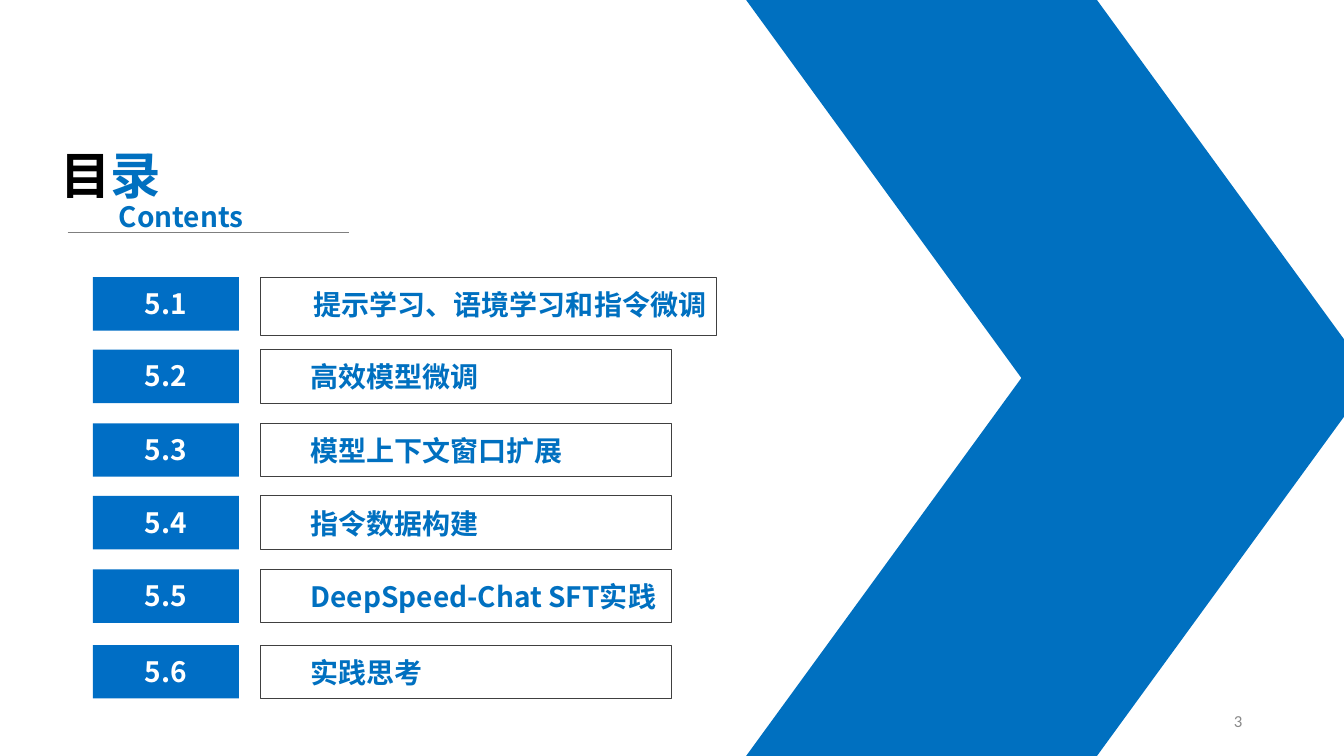
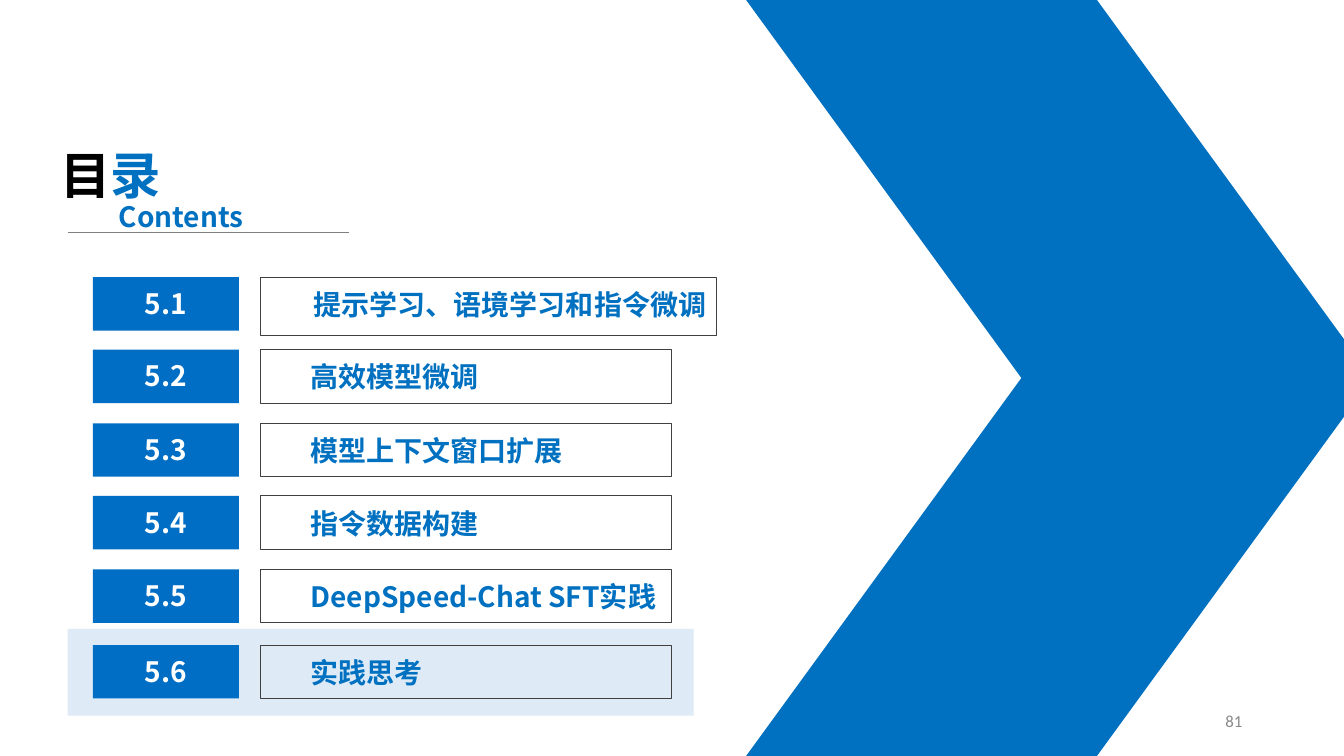
from lxml.etree import SubElement
from pptx import Presentation
from pptx.dml.color import RGBColor
from pptx.enum.shapes import MSO_CONNECTOR, MSO_SHAPE
from pptx.enum.text import MSO_ANCHOR, MSO_AUTO_SIZE, PP_ALIGN
from pptx.oxml.ns import qn
from pptx.util import Inches, Pt

# Content: number, heading, top of the row
SECTIONS = [
    ("5.1", "提示学习、语境学习和指令微调", 2.75),
    ("5.2", "高效模型微调", 3.47),
    ("5.3", "模型上下文窗口扩展", 4.2),
    ("5.4", "指令数据构建", 4.92),
    ("5.5", "DeepSpeed-Chat SFT实践", 5.65),
    ("5.6", "实践思考", 6.4),
]
# Page number and the section that is highlighted
PAGES = [("3", None), ("81", "5.6")]

# Shared style
BLUE = RGBColor(0x00, 0x70, 0xC0)
BADGE_BLUE = RGBColor(0x00, 0x6E, 0xC5)
PALE_BLUE = RGBColor(0xDE, 0xEB, 0xF7)
BLACK = RGBColor(0x00, 0x00, 0x00)
WHITE = RGBColor(0xFF, 0xFF, 0xFF)
FRAME_GREY = RGBColor(0x40, 0x40, 0x40)
RULE_GREY = RGBColor(0x7F, 0x7F, 0x7F)
PAGE_GREY = RGBColor(0x89, 0x89, 0x89)
FONT = "Noto Sans CJK SC"
ROW_HEIGHT = 0.53
# Frame width, height and text indent; the long first heading has its own
FRAME = (4.08, ROW_HEIGHT, 0.5)
LONG_FRAME = (4.53, 0.58, 0.53)


def write_text(shape, *parts, size=20, color=BLUE, bold=True, font=FONT,
               align=PP_ALIGN.LEFT, anchor=MSO_ANCHOR.TOP,
               margins=(0.1, 0.05, 0.1, 0.05)):
    """Write one paragraph; a part is a string or a (string, colour) pair."""
    frame = shape.text_frame
    frame.word_wrap = True
    frame.auto_size = MSO_AUTO_SIZE.NONE
    frame.vertical_anchor = anchor
    (frame.margin_left, frame.margin_top,
     frame.margin_right, frame.margin_bottom) = map(Inches, margins)
    paragraph = frame.paragraphs[0]
    paragraph.alignment = align
    for part in parts:
        words, part_color = (part, color) if isinstance(part, str) else part
        run = paragraph.add_run()
        run.text = words
        run.font.size, run.font.bold, run.font.name = Pt(size), bold, font
        run.font.color.rgb = part_color
        SubElement(run.font._element, qn("a:ea"), typeface=font)


def add_box(slide, left, top, width, height, fill=None, line=None,
            kind=MSO_SHAPE.RECTANGLE):
    box = slide.shapes.add_shape(kind, *map(Inches, (left, top, width, height)))
    box.shadow.inherit = False
    if fill is None:
        box.fill.background()
    else:
        box.fill.solid()
        box.fill.fore_color.rgb = fill
    if line is None:
        box.line.fill.background()
    else:
        box.line.color.rgb = line
        box.line.width = Pt(0.75)
    return box


def add_text(slide, words, left, top, width, height, **style):
    box = slide.shapes.add_textbox(*map(Inches, (left, top, width, height)))
    write_text(box, words, **style)


def add_chevron(slide):
    for top, flipped in ((3.75, False), (0, True)):
        half = add_box(slide, 7.4, top, 6.21, 3.75, fill=BLUE,
                       kind=MSO_SHAPE.PARALLELOGRAM)
        half.adjustments[0] = 0.728
        if flipped:
            half._element.spPr.xfrm.set("flipV", "1")


def add_heading(slide):
    title = slide.shapes.title
    title.left, title.top = Inches(0.5), Inches(1.38)
    title.width, title.height = Inches(1.57), Inches(0.71)
    write_text(title, ("目", BLACK), "录", size=36)
    rule = slide.shapes.add_connector(
        MSO_CONNECTOR.STRAIGHT, Inches(0.67), Inches(2.31), Inches(3.46), Inches(2.31))
    rule.line.color.rgb = RULE_GREY
    rule.line.width = Pt(0.5)
    SubElement(rule._element.spPr, qn("a:effectLst"))
    add_text(slide, "Contents", 1.08, 1.93, 1.57, 0.44)


def add_section(slide, number, heading, top):
    width, height, indent = LONG_FRAME if number == "5.1" else FRAME
    frame = add_box(slide, 2.58, top, width, height, line=FRAME_GREY)
    write_text(frame, heading, margins=(indent, 0.1, 0, 0))
    badge = add_box(slide, 0.92, top, 1.45, ROW_HEIGHT, fill=BADGE_BLUE)
    write_text(badge, number, color=WHITE, align=PP_ALIGN.CENTER,
               margins=(0.1, 0.09, 0.1, 0))


def add_contents_slide(deck, page, current):
    slide = deck.slides.add_slide(deck.slide_layouts.get_by_name("Title Only"))
    add_chevron(slide)
    add_heading(slide)
    for number, heading, top in SECTIONS:
        if number == current:
            add_box(slide, 0.67, top - 0.16, 6.21, 0.86, fill=PALE_BLUE)
        add_section(slide, number, heading, top)
    add_text(slide, page, 9.42, 6.95, 3, 0.4, size=12, color=PAGE_GREY,
             bold=False, font="Calibri", align=PP_ALIGN.RIGHT,
             anchor=MSO_ANCHOR.MIDDLE)


def main():
    deck = Presentation()
    deck.slide_width, deck.slide_height = Inches(13.33), Inches(7.5)
    for page, current in PAGES:
        add_contents_slide(deck, page, current)
    deck.save("out.pptx")


if __name__ == "__main__":
    main()
